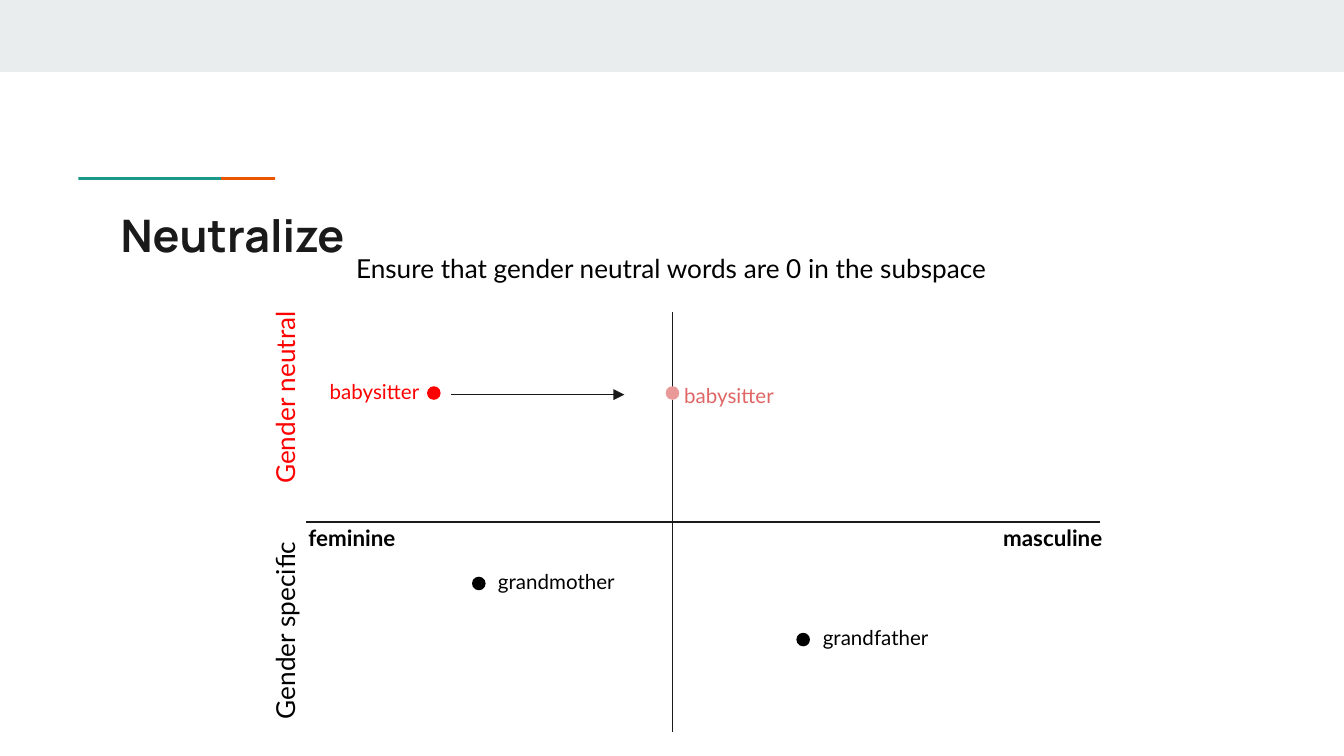
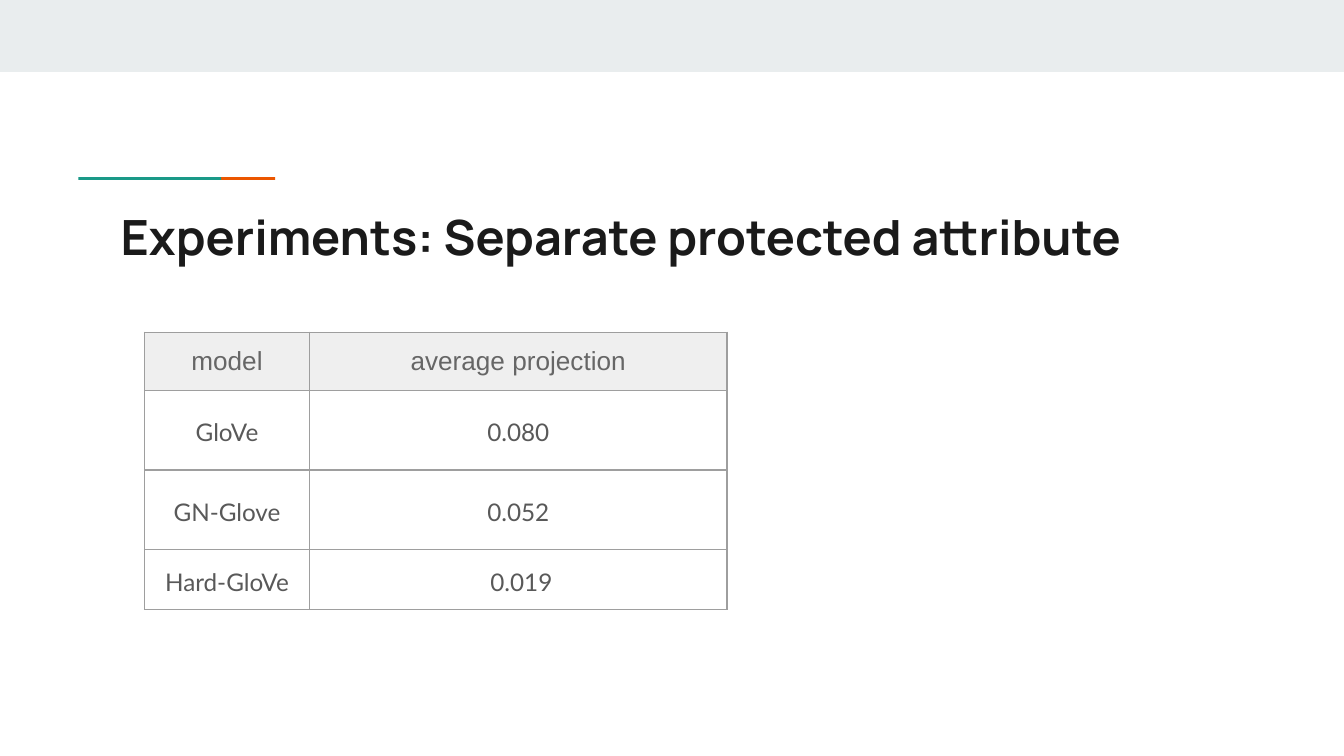
from lxml import etree
from pptx import Presentation
from pptx.dml.color import RGBColor
from pptx.enum.shapes import MSO_CONNECTOR, MSO_SHAPE
from pptx.enum.text import MSO_ANCHOR, PP_ALIGN
from pptx.oxml.ns import qn
from pptx.util import Cm, Pt

RECT, DOT = MSO_SHAPE.RECTANGLE, MSO_SHAPE.FLOWCHART_CONNECTOR
STRAIGHT = MSO_CONNECTOR.STRAIGHT
MIDDLE, CENTER = MSO_ANCHOR.MIDDLE, PP_ALIGN.CENTER

BAND = RGBColor(0xE9, 0xED, 0xEE)
TEAL = RGBColor(0x1A, 0x99, 0x88)
ORANGE = RGBColor(0xEB, 0x56, 0x00)
INK = RGBColor(0x1A, 0x1A, 0x1A)
BLACK = RGBColor(0, 0, 0)
RED = RGBColor(0xFF, 0, 0)
FADED_DOT = RGBColor(0xEA, 0x99, 0x99)
FADED_TEXT = RGBColor(0xE0, 0x66, 0x66)
HEADER_FILL = RGBColor(0xEF, 0xEF, 0xEF)
HEADER_TEXT = RGBColor(0x66, 0x66, 0x66)
BODY_TEXT = RGBColor(0x59, 0x59, 0x59)
GRID = RGBColor(0x9E, 0x9E, 0x9E)

# Shared look, in cm
WIDTH, HEIGHT = 25.4, 14.29
DECOR = [  # left, top, width, height, colour; teal overlaps orange
    (0, 0, WIDTH, 1.36, BAND),
    (2.5, 3.35, 2.7, 0.05, ORANGE),
    (1.48, 3.35, 2.7, 0.05, TEAL),
]
TITLE_BOX = (2.03, 3.67, 21.36, 1.5)
HAIRLINE = 0.75

# Word map, in cm
CENTRE_X, AXIS_Y, BABYSITTER_Y = 12.71, 9.87, 7.43
AXES = [(CENTRE_X, 5.89, CENTRE_X, 13.84), (5.79, AXIS_Y, 20.78, AXIS_Y)]
SHIFT_ARROW = (8.52, 7.46, 11.8, 7.46)
DOT_SIZE = 0.23
WORDS = [  # word, dot centre, label corner, dot colour, label colour
    ("grandfather", (15.18, 12.09), (15.3, 11.58), BLACK, BLACK),
    ("grandmother", (9.05, 11.03), (9.16, 10.52), BLACK, BLACK),
    ("babysitter", (8.2, BABYSITTER_Y), (5.98, 6.93), RED, RED),
    ("babysitter", (CENTRE_X, BABYSITTER_Y), (12.68, 7.01), FADED_DOT, FADED_TEXT),
]
ROW_NAMES = [("Gender neutral", 7.01, RED), ("Gender specific", 11.46, BLACK)]
AXIS_ENDS = [("feminine", 5.58), ("masculine", 18.71)]
SUMMARY = "Ensure that gender neutral words are 0 in the subspace"

# Results table, in cm
RESULTS = [
    ("model", "average projection"),
    ("GloVe", "0.080"),
    ("GN-Glove", "0.052"),
    ("Hard-GloVe", " 0.019"),
]
TABLE_CORNER = (2.73, 6.28)
COLUMN_WIDTHS = (3.12, 7.89)
ROW_HEIGHTS = (0.97, 1.51, 1.51, 0.28)
HEADER_FONT = dict(name="Arial", size=Pt(14))
BODY_FONT = dict(name="Lato", size=Pt(13))
BODY_SPACING = dict(line_spacing=1.15, space_after=Pt(16))


def write(frame, text, color, **font):
    paragraph = frame.paragraphs[0]
    run = paragraph.add_run()
    run.text = text
    run.font.color.rgb = color
    for key, value in font.items():
        setattr(run.font, key, value)
    return paragraph


def set_margins(target):
    for side in ("left", "top", "right", "bottom"):
        setattr(target, f"margin_{side}", Cm(0.25))


def add_text(slide, box, text, size, color=BLACK, name="Lato", bold=False):
    label = slide.shapes.add_textbox(*map(Cm, box))
    label.text_frame.word_wrap = True
    set_margins(label.text_frame)
    write(label.text_frame, text, color, name=name, size=Pt(size), bold=bold)
    return label


def add_filled(slide, preset, box, color, outlined=False):
    shape = slide.shapes.add_shape(preset, *map(Cm, box))
    shape.shadow.inherit = False
    shape.fill.solid()
    shape.fill.fore_color.rgb = color
    if outlined:
        shape.line.color.rgb = color
        shape.line.width = Pt(HAIRLINE)
    else:
        shape.line.fill.background()


def add_line(slide, ends, arrow=False):
    line = slide.shapes.add_connector(STRAIGHT, *map(Cm, ends))
    line.line.color.rgb = INK
    line.line.width = Pt(HAIRLINE)
    if arrow:
        etree.SubElement(line.line._get_or_add_ln(), qn("a:tailEnd"), type="triangle")
    etree.SubElement(line._element.spPr, qn("a:effectLst"))


def add_slide(deck, title, title_size):
    slide = deck.slides.add_slide(deck.slide_layouts[6])
    for *box, color in DECOR:
        add_filled(slide, RECT, box, color)
    add_text(slide, TITLE_BOX, title, title_size, INK, "Manrope", True)
    return slide


def add_borders(cell):
    properties = cell._tc.get_or_add_tcPr()
    for edge in ("lnL", "lnR", "lnT", "lnB"):
        border = etree.SubElement(properties, qn(f"a:{edge}"), w=str(Pt(HAIRLINE)))
        fill = etree.SubElement(border, qn("a:solidFill"))
        etree.SubElement(fill, qn("a:srgbClr"), val=str(GRID))


def build_word_map(deck):
    slide = add_slide(deck, "Neutralize", 24)
    for axis in AXES:
        add_line(slide, axis)
    add_line(slide, SHIFT_ARROW, arrow=True)

    # Words with their dots
    for word, (x, y), corner, dot_color, text_color in WORDS:
        dot_box = (x - DOT_SIZE / 2, y - DOT_SIZE / 2, DOT_SIZE, DOT_SIZE)
        add_filled(slide, DOT, dot_box, dot_color, outlined=True)
        width = 3.1 if word == "babysitter" else 3.73
        add_text(slide, (*corner, width, 1.07), word, 11, text_color)

    # Names of the halves and of the axis ends
    for name, top, color in ROW_NAMES:
        add_text(slide, (3.26, top, 3.96, 0.81), name, 14, color).rotation = 270
    add_text(slide, (6.48, 4.52, 12.45, 1.78), SUMMARY, 14)
    for name, left in AXIS_ENDS:
        add_text(slide, (left, 9.65, 2.51, 0.86), name, 12, bold=True)


def build_results(deck):
    slide = add_slide(deck, "Experiments: Separate protected attribute", 26)
    size = (sum(COLUMN_WIDTHS), sum(ROW_HEIGHTS))
    table = slide.shapes.add_table(len(RESULTS), len(COLUMN_WIDTHS),
                                   *map(Cm, TABLE_CORNER + size)).table
    table.first_row = table.horz_banding = False
    for column, width in zip(table.columns, COLUMN_WIDTHS):
        column.width = Cm(width)
    for r, (row, height) in enumerate(zip(table.rows, ROW_HEIGHTS)):
        row.height = Cm(height)
        for cell, text in zip(row.cells, RESULTS[r]):
            set_margins(cell)
            cell.vertical_anchor = MIDDLE
            add_borders(cell)
            if r == 0:
                cell.fill.solid()
                cell.fill.fore_color.rgb = HEADER_FILL
                paragraph = write(cell.text_frame, text, HEADER_TEXT, **HEADER_FONT)
            else:
                cell.fill.background()
                paragraph = write(cell.text_frame, text, BODY_TEXT, **BODY_FONT)
                for key, value in BODY_SPACING.items():
                    setattr(paragraph, key, value)
            paragraph.alignment = CENTER


def main():
    deck = Presentation()
    deck.slide_width, deck.slide_height = Cm(WIDTH), Cm(HEIGHT)
    build_word_map(deck)
    build_results(deck)
    deck.save("out.pptx")


if __name__ == "__main__":
    main()
